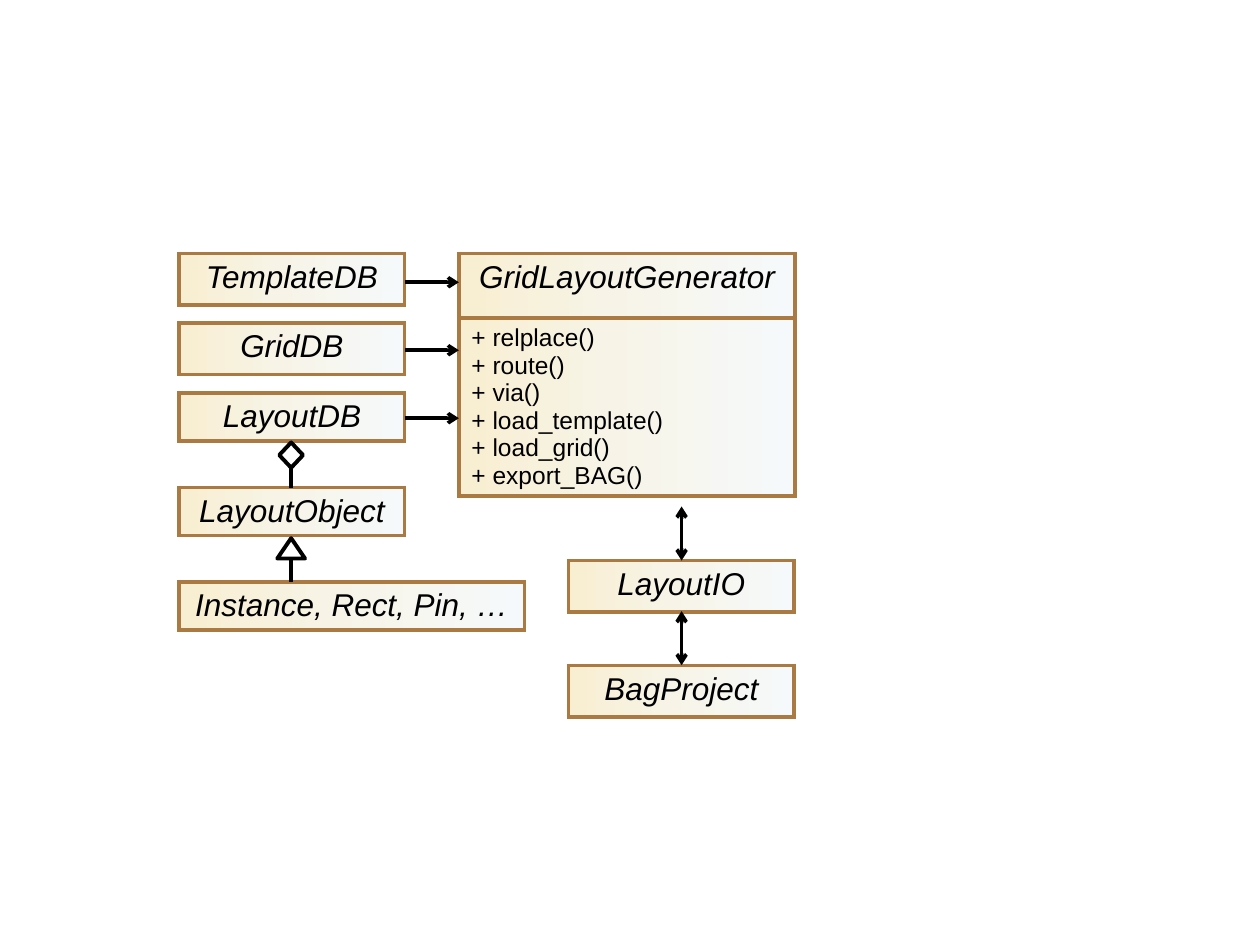
from dataclasses import dataclass

from lxml.etree import SubElement
from pptx import Presentation
from pptx.dml.color import RGBColor
from pptx.enum.shapes import MSO_CONNECTOR as Connector, MSO_SHAPE as Preset
from pptx.enum.text import PP_ALIGN as Align
from pptx.oxml.ns import qn
from pptx.slide import Slide
from pptx.table import _Cell as Cell
from pptx.util import Cm, Pt

BORDER = RGBColor(0xAB, 0x79, 0x42)
BLACK = RGBColor(0, 0, 0)
WHITE = RGBColor(0xFF, 0xFF, 0xFF)
GRADIENT = (
    (0, RGBColor(0xF6, 0xF9, 0xFC)),
    (55, RGBColor(0xF7, 0xF4, 0xE7)),
    (100, RGBColor(0xF8, 0xEE, 0xD1)),
)
FONT = "Arial"

# Layout in centimetres
LEFT = 3.61
BOX_WIDTH = 4.55
TALL, SHORT = 1.04, 0.89
GENERATOR_LEFT, GENERATOR_TOP = 9.25, 5.11
IO_LEFT = 11.46
LEFT_CENTRE = 5.87
IO_CENTRE = 13.74


@dataclass
class ClassBox:
    name: str
    left: float
    top: float
    height: float = TALL
    width: float = BOX_WIDTH
    methods: tuple[str, ...] = ()
    methods_height: float = 0


@dataclass
class Link:
    start: tuple[float, float]
    end: tuple[float, float]
    head: bool = False
    tail: bool = False


@dataclass
class Marker:
    preset: Preset
    top: float
    width: float
    height: float


BOXES = (
    ClassBox("TemplateDB", LEFT, GENERATOR_TOP),
    ClassBox("GridLayoutGenerator", GENERATOR_LEFT, GENERATOR_TOP, 1.3, 6.78,
             ("relplace", "route", "via", "load_template", "load_grid", "export_BAG"), 3.58),
    ClassBox("GridDB", LEFT, 6.51),
    ClassBox("LayoutDB", LEFT, 7.92, SHORT),
    ClassBox("LayoutObject", LEFT, 9.83, SHORT),
    ClassBox("Instance, Rect, Pin, …", LEFT, 11.73, SHORT, 6.96),
    ClassBox("LayoutIO", IO_LEFT, 11.3),
    ClassBox("BagProject", IO_LEFT, 13.41),
)
LINKS = (
    # Databases feed the generator
    *(Link((LEFT + BOX_WIDTH, y), (GENERATOR_LEFT, y), tail=True) for y in (5.69, 7.06, 8.43)),
    # Aggregation and inheritance
    Link((LEFT_CENTRE, 9.83), (LEFT_CENTRE, 8.94)),
    Link((LEFT_CENTRE, 11.73), (LEFT_CENTRE, 10.85)),
    # Exchange with the project
    *(Link((IO_CENTRE, top), (IO_CENTRE, top + 1.09), head=True, tail=True)
      for top in (10.21, 12.32)),
)
MARKERS = (
    Marker(Preset.DIAMOND, 8.92, 0.48, 0.51),
    Marker(Preset.ISOSCELES_TRIANGLE, 10.85, 0.56, 0.41),
)


def add_solid_fill(parent, color: RGBColor) -> None:
    SubElement(SubElement(parent, qn("a:solidFill")), qn("a:srgbClr"), val=str(color))


def style_cell(cell: Cell) -> None:
    """Give a cell its borders and its horizontal gradient."""
    properties = cell._tc.get_or_add_tcPr()
    for side in ("lnL", "lnR", "lnT", "lnB"):
        border = SubElement(properties, qn(f"a:{side}"), w=str(Pt(2.25)))
        add_solid_fill(border, BORDER)
    gradient = SubElement(properties, qn("a:gradFill"), rotWithShape="1")
    stops = SubElement(gradient, qn("a:gsLst"))
    for position, color in GRADIENT:
        stop = SubElement(stops, qn("a:gs"), pos=str(position * 1000))
        SubElement(stop, qn("a:srgbClr"), val=str(color))
    SubElement(gradient, qn("a:lin"), ang=str(180 * 60000), scaled="0")


def write_cell(cell: Cell, lines: tuple[str, ...], size: int, italic: bool, align: Align) -> None:
    for index, line in enumerate(lines):
        frame = cell.text_frame
        paragraph = frame.add_paragraph() if index else frame.paragraphs[0]
        paragraph.alignment = align
        run = paragraph.add_run()
        run.text = line
        font = run.font
        font.name, font.size = FONT, Pt(size)
        font.bold, font.italic = False, italic
        font.color.rgb = BLACK
    style_cell(cell)


def add_class_box(slide: Slide, box: ClassBox) -> None:
    heights = [box.height] + ([box.methods_height] if box.methods else [])
    table = slide.shapes.add_table(len(heights), 1, Cm(box.left), Cm(box.top),
                                   Cm(box.width), Cm(sum(heights))).table
    table.first_row = table.horz_banding = False
    for row, height in zip(table.rows, heights):
        row.height = Cm(height)
    write_cell(table.cell(0, 0), (box.name,), 18, True, Align.CENTER)
    if box.methods:
        lines = tuple(f"+ {method}()" for method in box.methods)
        write_cell(table.cell(1, 0), lines, 14, False, Align.LEFT)


def add_link(slide: Slide, link: Link) -> None:
    connector = slide.shapes.add_connector(
        Connector.STRAIGHT, *(Cm(value) for value in link.start + link.end))
    connector.line.color.rgb = BLACK
    connector.line.width = Pt(2)
    line = connector.line._get_or_add_ln()
    for present, tag in ((link.head, "a:headEnd"), (link.tail, "a:tailEnd")):
        if present:
            SubElement(line, qn(tag), type="arrow")
    SubElement(connector._element.spPr, qn("a:effectLst"))


def add_marker(slide: Slide, marker: Marker) -> None:
    shape = slide.shapes.add_shape(
        marker.preset, Cm(LEFT_CENTRE - marker.width / 2), Cm(marker.top),
        Cm(marker.width), Cm(marker.height))
    shape.shadow.inherit = False
    shape.fill.solid()
    shape.fill.fore_color.rgb = WHITE
    shape.line.color.rgb = BLACK
    shape.line.width = Pt(2.25)


def main() -> None:
    presentation = Presentation()
    presentation.slide_width, presentation.slide_height = Cm(25.4), Cm(19.05)
    slide = presentation.slides.add_slide(presentation.slide_layouts[6])
    for box in BOXES:
        add_class_box(slide, box)
    for link in LINKS:
        add_link(slide, link)
    for marker in MARKERS:
        add_marker(slide, marker)
    presentation.save("out.pptx")


if __name__ == "__main__":
    main()
